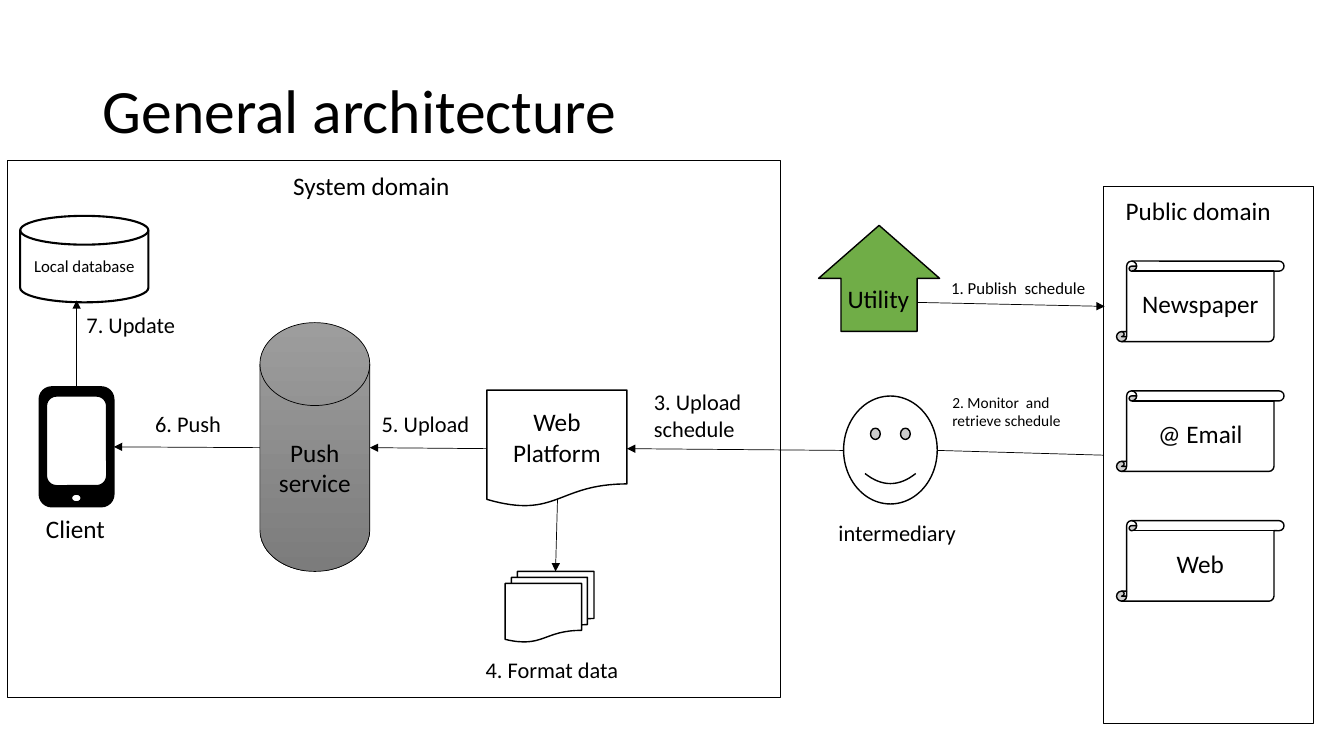
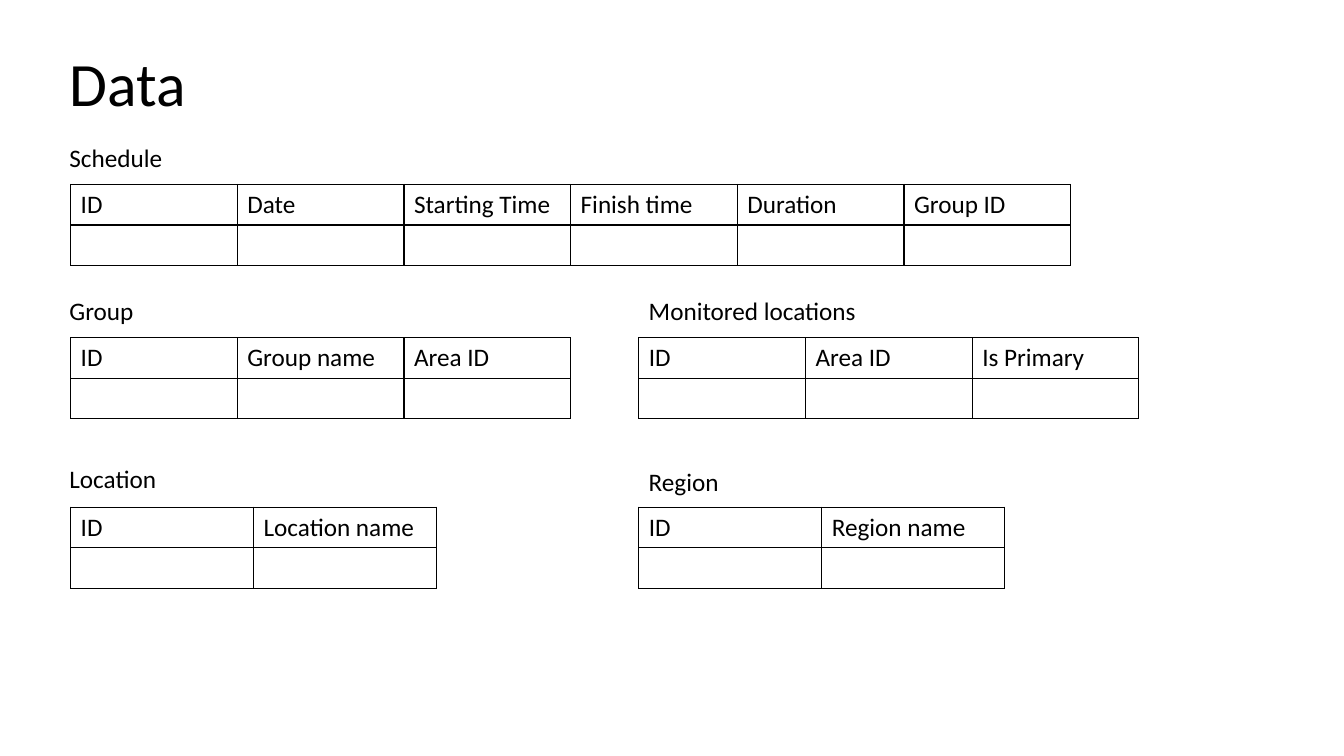
from lxml import etree
from pptx import Presentation
from pptx.dml.color import RGBColor
from pptx.enum.shapes import MSO_CONNECTOR, MSO_SHAPE
from pptx.enum.text import MSO_ANCHOR, PP_ALIGN
from pptx.oxml.ns import qn
from pptx.util import Cm, Pt

BLACK = RGBColor(0x00, 0x00, 0x00)
WHITE = RGBColor(0xFF, 0xFF, 0xFF)
GREEN = RGBColor(0x70, 0xAD, 0x47)
GREY_LIGHT = RGBColor(0x9D, 0x9D, 0x9D)
GREY_DARK = RGBColor(0x7C, 0x7C, 0x7C)
FONT = "Calibri"

RECT = MSO_SHAPE.RECTANGLE
DISK = MSO_SHAPE.FLOWCHART_MAGNETIC_DISK
DOCUMENT = MSO_SHAPE.FLOWCHART_DOCUMENT
DOCUMENTS = MSO_SHAPE.FLOWCHART_MULTIDOCUMENT
ROUNDED = MSO_SHAPE.FLOWCHART_ALTERNATE_PROCESS
SCROLL = MSO_SHAPE.VERTICAL_SCROLL
SMILEY = MSO_SHAPE.SMILEY_FACE
UP_ARROW = MSO_SHAPE.UP_ARROW
OVAL = MSO_SHAPE.OVAL
STRAIGHT = MSO_CONNECTOR.STRAIGHT
TOP, LEFT, BOTTOM, RIGHT = range(4)

# All positions and sizes are in centimetres: left, top, width, height.
# Node: key, kind, box, fill, line width, text, text size
NODES = [
    ("system", RECT, (0.18, 4.04, 19.5, 13.54), WHITE, 0.75, "", 18),
    ("public", RECT, (27.82, 4.7, 5.28, 13.54), WHITE, 0.75, "", 18),
    ("push", DISK, (6.55, 8.13, 2.77, 6.27), (GREY_LIGHT, GREY_DARK), 0.5, "Push service", 18),
    ("supplier", UP_ARROW, (20.63, 5.68, 3.05, 2.67), GREEN, 1, "", 18),
    ("platform", DOCUMENT, (12.27, 9.83, 3.53, 2.95), WHITE, 1, "Web Platform", 18),
    ("formatted", DOCUMENTS, (12.73, 14.4, 2.24, 1.78), WHITE, 1, "", 18),
    ("database", DISK, (0.51, 5.44, 3.23, 2.18), WHITE, 1.5, "Local database", 12),
    ("intermediary", SMILEY, (21.26, 9.98, 2.36, 2.72), WHITE, 1, "", 18),
]
PHONE = [
    ("client", ROUNDED, (0.99, 9.75, 1.88, 3.02), BLACK, 1, "", 18),
    ("screen", ROUNDED, (1.17, 9.98, 1.52, 2.26), WHITE, 1, "", 18),
    ("button", OVAL, (1.8, 12.45, 0.25, 0.2), WHITE, 1, "", 18),
]
CHANNELS = ["Newspaper", "@ Email", "Web"]
CHANNEL_BOX = (28.14, 6.58, 4.22, 2.03)
CHANNEL_STEP = 3.27

# Link: start, end, arrowhead; an end is a point or a node with its side
LINKS = [
    (("public", LEFT), (23.64, 11.35), False),
    ((14.05, 12.57), (14.0, 14.4), True),
    (("platform", LEFT), (9.32, 11.28), True),
    ((6.55, 11.28), ("client", RIGHT), True),
    (("client", TOP), (1.93, 7.57), True),
    ((23.11, 7.62), (27.84, 7.72), True),
    ((21.26, 11.35), ("platform", RIGHT), True),
]
LABELS = [
    ("Public domain", (28.12, 4.8, 4.34, 1.02), 18),
    ("System domain", (7.14, 4.17, 4.75, 1.02), 18),
    ("Utility", (21.11, 7.01, 2.62, 1.02), 18),
    ("Client", (0.91, 12.8, 2.03, 1.02), 18),
    ("intermediary", (20.88, 12.95, 3.73, 0.94), 16),
    ("1. Publish  schedule", (23.72, 6.88, 3.99, 0.76), 12),
    ("2. Monitor  and retrieve schedule", (23.75, 9.78, 3.56, 1.19), 11),
    ("3. Upload schedule", (16.23, 9.65, 4.06, 1.63), 16),
    ("4. Format data", (11.99, 16.41, 4.06, 0.94), 16),
    ("5. Upload", (9.37, 10.21, 3.02, 0.94), 16),
    ("6. Push", (3.66, 10.21, 2.29, 0.94), 16),
    ("7. Update", (1.93, 7.72, 4.75, 0.94), 16),
]

# Table: caption, caption position, table position, column width, headers
TABLES = [
    ("Schedule", (1.5, 3.45), (1.78, 4.65), 4.2,
     ["ID", "Date", "Starting Time", "Finish time", "Duration", "Group ID"]),
    ("Group", (1.5, 7.32), (1.78, 8.51), 4.2, ["ID", "Group name", "Area ID"]),
    ("Monitored locations", (16.1, 7.32), (16.1, 8.51), 4.2, ["ID", "Area ID", "Is Primary"]),
    ("Location", (1.5, 11.56), (1.78, 12.78), 4.61, ["ID", "Location name"]),
    ("Region", (16.1, 11.63), (16.1, 12.78), 4.61, ["ID", "Region name"]),
]
CAPTION_SIZE = (6.4, 1.02)
ROW_HEIGHT = 1.02


def cm(values):
    return [Cm(value) for value in values]


def write(frame, text, size, align=PP_ALIGN.LEFT):
    frame.word_wrap = True
    frame.text = text
    paragraph = frame.paragraphs[0]
    paragraph.alignment = align
    font = paragraph.runs[0].font
    font.name, font.size, font.color.rgb = FONT, Pt(size), BLACK
    return paragraph


def add_label(slide, text, box, size):
    frame = slide.shapes.add_textbox(*cm(box)).text_frame
    write(frame, text, size)
    return frame


def add_title(slide, text, left, top):
    frame = add_label(slide, text, (left, top, 29.21, 3.68), 44)
    frame.vertical_anchor = MSO_ANCHOR.MIDDLE
    frame.paragraphs[0].line_spacing = 0.9


def add_node(shapes, kind, box, fill, line_width, text, size):
    """Draw a node; a pair of colours as fill gives a gradient from top to bottom."""
    node = shapes.add_shape(kind, *cm(box))
    node.shadow.inherit = False
    if isinstance(fill, RGBColor):
        node.fill.solid()
        node.fill.fore_color.rgb = fill
    else:
        node.fill.gradient()
        node.fill.gradient_angle = 270
        for stop, colour in zip(node.fill.gradient_stops, fill):
            stop.color.rgb = colour
    node.line.color.rgb = BLACK
    node.line.width = Pt(line_width)
    if text:
        write(node.text_frame, text, size, PP_ALIGN.CENTER)
        node.text_frame.vertical_anchor = MSO_ANCHOR.MIDDLE
    return node


def add_link(slide, nodes, start, end, arrowhead):
    link = slide.shapes.add_connector(STRAIGHT, 0, 0, 0, 0)
    if start[0] in nodes:
        link.begin_connect(nodes[start[0]], start[1])
    else:
        link.begin_x, link.begin_y = cm(start)
    if end[0] in nodes:
        link.end_connect(nodes[end[0]], end[1])
    else:
        link.end_x, link.end_y = cm(end)
    link.line.color.rgb = BLACK
    link.line.width = Pt(0.5)
    if arrowhead:
        etree.SubElement(link.line._get_or_add_ln(), qn("a:tailEnd"), type="triangle")
    etree.SubElement(link._element.spPr, qn("a:effectLst"))


def set_borders(cell):
    properties = cell._tc.get_or_add_tcPr()
    for side in ("a:lnL", "a:lnR", "a:lnT", "a:lnB"):
        border = etree.SubElement(properties, qn(side), w=str(Pt(1)))
        fill = etree.SubElement(border, qn("a:solidFill"))
        etree.SubElement(fill, qn("a:srgbClr"), val=str(BLACK))


def add_data_table(slide, position, column_width, headers):
    """Draw a header row above one empty row."""
    size = (column_width * len(headers), 2 * ROW_HEIGHT)
    table = slide.shapes.add_table(2, len(headers), *cm(position + size)).table
    table.first_row = table.horz_banding = False
    for column in table.columns:
        column.width = Cm(column_width)
    for cell in table.iter_cells():
        set_borders(cell)
        cell.fill.solid()
        cell.fill.fore_color.rgb = WHITE
    for cell, header in zip(table.rows[0].cells, headers):
        write(cell.text_frame, header, 18)


def build_architecture(slide):
    nodes = {key: add_node(slide.shapes, *look) for key, *look in NODES}
    nodes["supplier"].adjustments[0] = 0.63
    phone = slide.shapes.add_group_shape()
    nodes.update({key: add_node(phone.shapes, *look) for key, *look in PHONE})
    left, top, width, height = CHANNEL_BOX
    for index, channel in enumerate(CHANNELS):
        box = (left, top + index * CHANNEL_STEP, width, height)
        add_node(slide.shapes, SCROLL, box, WHITE, 1, channel, 18)
    for link in LINKS:
        add_link(slide, nodes, *link)
    for label in LABELS:
        add_label(slide, *label)
    add_title(slide, "General architecture", 2.34, 1.02)


def build_data(slide):
    add_title(slide, "Data", 1.5, 0.33)
    for caption, caption_position, position, column_width, headers in TABLES:
        add_label(slide, caption, caption_position + CAPTION_SIZE, 18)
        add_data_table(slide, position, column_width, headers)


def main():
    deck = Presentation()
    deck.slide_width, deck.slide_height = Cm(33.87), Cm(19.05)
    blank = deck.slide_layouts[6]
    for build in (build_architecture, build_data):
        build(deck.slides.add_slide(blank))
    deck.save("out.pptx")


if __name__ == "__main__":
    main()
